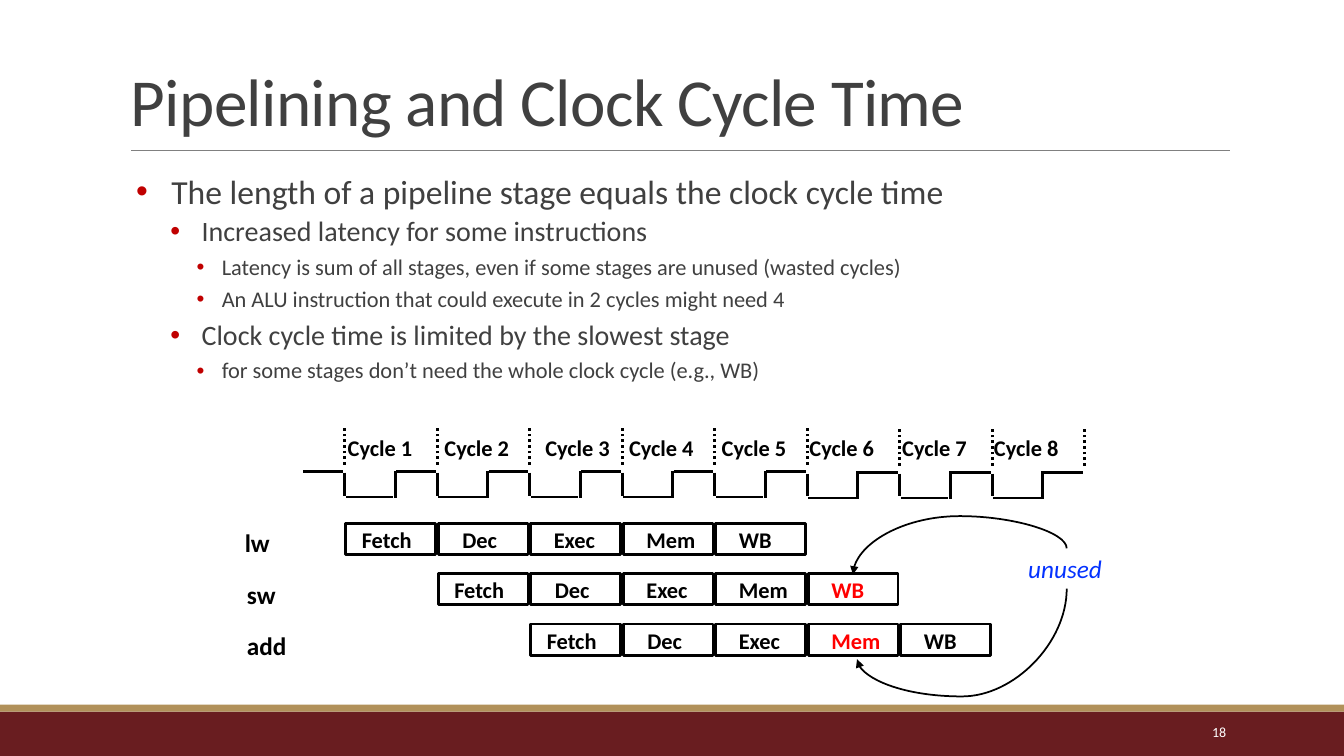
from dataclasses import dataclass

from lxml import etree
from pptx import Presentation
from pptx.dml.color import RGBColor
from pptx.enum.dml import MSO_LINE
from pptx.enum.shapes import MSO_CONNECTOR, MSO_SHAPE
from pptx.enum.text import MSO_ANCHOR, PP_ALIGN
from pptx.oxml.ns import qn
from pptx.util import Inches, Pt

RECT = MSO_SHAPE.RECTANGLE
LINE, CURVE = MSO_CONNECTOR.STRAIGHT, MSO_CONNECTOR.CURVE
DOTS = MSO_LINE.ROUND_DOT
TOP, MIDDLE, BOTTOM = MSO_ANCHOR.TOP, MSO_ANCHOR.MIDDLE, MSO_ANCHOR.BOTTOM
LEFT, RIGHT = PP_ALIGN.LEFT, PP_ALIGN.RIGHT

FONT = "Calibri"
COLORS = {
    "maroon": "691D20", "gold": "B1915A", "gray": "808080", "text": "404040",
    "bullet": "C00000", "black": "000000", "white": "FFFFFF",
    "red": "FF0000", "blue": "0432FF",
}
START, END, CYCLES = 3.42, 10.76, 8
PITCH = (END - START) / CYCLES
LABELS = [3.35, 4.31, 5.31, 6.14, 7.06, 7.93, 8.85, 9.76]
ROW_TOP, ROW_STEP = 5.19, 0.5


@dataclass
class Stage:
    name: str
    inset: float
    width: float


@dataclass
class Row:
    name: str
    left: float
    top: float
    width: float
    unused: str = ""


@dataclass
class Level:
    margin: float
    indent: float
    size: int
    before: int
    after: int


@dataclass
class Curve:
    left: float
    top: float
    width: float
    height: float
    turn: int
    flip: bool
    bend: int


STAGES = [
    Stage("Fetch", 0.06, 0.72), Stage("Dec", 0.14, 0.55),
    Stage("Exec", 0.13, 0.62), Stage("Mem", 0.13, 0.7), Stage("WB", 0.13, 0.53),
]
ROWS = [
    Row("lw", 2.33, 5.18, 0.47),
    Row("sw", 2.35, 5.7, 0.5, "WB"),
    Row("add", 2.35, 6.2, 0.6, "Mem"),
]
LEVELS = [
    Level(0.5, -0.35, 24, 6, 2), Level(0.8, -0.31, 20, 2, 4),
    Level(1, -0.25, 16, 2, 4),
]
POINTS = [
    (0, "The length of a pipeline stage equals the clock cycle time"),
    (1, "Increased latency for some instructions"),
    (2, "Latency is sum of all stages, even if some stages are unused (wasted cycles)"),
    (2, "An ALU instruction that could execute in 2 cycles might need 4"),
    (1, "Clock cycle time is limited by the slowest stage"),
    (2, "for some stages don’t need the whole clock cycle (e.g., WB)"),
]
CURVES = [
    Curve(9.39, 4.51, 0.26, 2.12, 270, True, -123100),
    Curve(9.19, 5.15, 0.7, 2.08, 90, False, 152800),
]


def paint(name: str) -> RGBColor:
    return RGBColor.from_string(COLORS[name])


def style(run, size: float, color: str, bold=False, italic=False) -> None:
    font = run.font
    font.name, font.size, font.bold, font.italic = FONT, Pt(size), bold, italic
    font.color.rgb = paint(color)


def add_text(slide, words: str, box: tuple, size: float, color: str, bold=False,
             italic=False, wrap=False, anchor=TOP, align=LEFT):
    shape = slide.shapes.add_textbox(*map(Inches, box))
    frame = shape.text_frame
    frame.word_wrap, frame.vertical_anchor = wrap, anchor
    frame.text = words
    para = frame.paragraphs[0]
    para.alignment = align
    style(para.runs[0], size, color, bold, italic)
    return para


def add_rect(slide, box: tuple, fill: str = "", line: str = "") -> None:
    shape = slide.shapes.add_shape(RECT, *map(Inches, box))
    shape.shadow.inherit = False
    if fill:
        shape.fill.solid()
        shape.fill.fore_color.rgb = paint(fill)
    else:
        shape.fill.background()
    if line:
        shape.line.color.rgb = paint(line)
        shape.line.width = Pt(2)
    else:
        shape.line.fill.background()


def add_line(slide, x1: float, y1: float, x2: float, y2: float,
             color="black", width=2.0, dash=None, kind=LINE):
    """Draw a line without a shadow and return its shape properties."""
    line = slide.shapes.add_connector(kind, *map(Inches, (x1, y1, x2, y2)))
    line.line.color.rgb = paint(color)
    line.line.width = Pt(width)
    if dash:
        line.line.dash_style = dash
    props = line.element.spPr
    etree.SubElement(props, qn("a:effectLst"))
    return props


def add_curve(slide, curve: Curve) -> None:
    props = add_line(slide, curve.left, curve.top, curve.left + curve.width,
                     curve.top + curve.height, width=1.25, kind=CURVE)
    frame = props.find(qn("a:xfrm"))
    frame.set("rot", str(curve.turn * 60000))
    if curve.flip:
        frame.set("flipH", "1")
        frame.set("flipV", "1")
    guides = props.find(qn("a:prstGeom")).find(qn("a:avLst"))
    etree.SubElement(guides, qn("a:gd"), name="adj1", fmla=f"val {curve.bend}")
    etree.SubElement(props.find(qn("a:ln")), qn("a:tailEnd"), type="triangle")


def add_points(slide) -> None:
    shape = slide.shapes.add_textbox(*map(Inches, (1.2, 1.69, 11, 4.73)))
    frame = shape.text_frame
    frame.word_wrap = True
    frame.margin_left = frame.margin_right = 0
    frame.text = "\n".join(words for _, words in POINTS)
    for para, (depth, _) in zip(frame.paragraphs, POINTS):
        level = LEVELS[depth]
        para.level, para.line_spacing = depth, 0.9
        para.space_before, para.space_after = Pt(level.before), Pt(level.after)
        style(para.runs[0], level.size, "text")
        props = para._p.get_or_add_pPr()
        props.set("marL", str(Inches(level.margin)))
        props.set("indent", str(Inches(level.indent)))
        tint = etree.SubElement(props, qn("a:buClr"))
        etree.SubElement(tint, qn("a:srgbClr"), val=COLORS["bullet"])
        etree.SubElement(props, qn("a:buFont"), typeface="Arial")
        etree.SubElement(props, qn("a:buChar"), char="•")


def add_clock(slide) -> None:
    add_line(slide, 3.01, 4.68, 3.4, 4.68)
    for i, left in enumerate(LABELS):
        x, dip = START + i * PITCH, 0.01 if i > 4 else 0
        low, high = 4.93 + dip, 4.68 + dip
        add_line(slide, x + 0.01, low, x + 0.48, low)
        add_line(slide, x, high + 0.01, x, 4.92)
        add_line(slide, x + 0.5, low + 0.01, x + 0.5, 4.67)
        add_line(slide, x + 0.51, high, x + 0.9, high)
        add_text(slide, f"Cycle {i + 1}", (left, 4.26, 0.85, 0.37), 16, "black", True)
    for i in range(CYCLES + 1):
        x, dip = START + i * PITCH, 0.01 if i > 5 else 0
        add_line(slide, x, 4.61 + dip, x, 4.25 + dip, dash=DOTS)


def add_rows(slide) -> None:
    for i, row in enumerate(ROWS):
        top = ROW_TOP + i * ROW_STEP
        add_text(slide, row.name, (row.left, row.top, row.width, 0.4), 18, "black", True)
        for j, stage in enumerate(STAGES):
            left = START + 0.01 + (i + j) * PITCH
            add_rect(slide, (left, top, 0.89, 0.31), line="black")
            color = "red" if stage.name == row.unused else "black"
            box = (left + stage.inset, top - 0.02, stage.width, 0.37)
            add_text(slide, stage.name, box, 16, color, True)


def main() -> None:
    deck = Presentation()
    deck.slide_width, deck.slide_height = Inches(13.33), Inches(7.5)
    slide = deck.slides.add_slide(deck.slide_layouts[6])
    add_rect(slide, (0, 7.06, 13.33, 0.44), "maroon")
    add_rect(slide, (0, 6.99, 13.33, 0.07), "gold")
    add_line(slide, 1.3, 1.49, 12.2, 1.49, "gray", 0.5)
    title = add_text(slide, "Pipelining and Clock Cycle Time", (1.2, 0.31, 11, 1.13),
                     48, "text", wrap=True, anchor=BOTTOM)
    title.line_spacing = 0.85
    title.runs[0].font._element.set("spc", "-50")
    add_points(slide)
    add_clock(slide)
    add_rows(slide)
    add_rect(slide, (10.1, 5.44, 0.94, 0.4), "white")
    add_text(slide, "unused", (10.1, 5.44, 0.94, 0.4), 18, "blue", italic=True)
    for curve in CURVES:
        add_curve(slide, curve)
    add_text(slide, "18", (10.83, 7.06, 1.43, 0.4), 10, "white",
             wrap=True, anchor=MIDDLE, align=RIGHT)
    deck.save("out.pptx")


if __name__ == "__main__":
    main()
